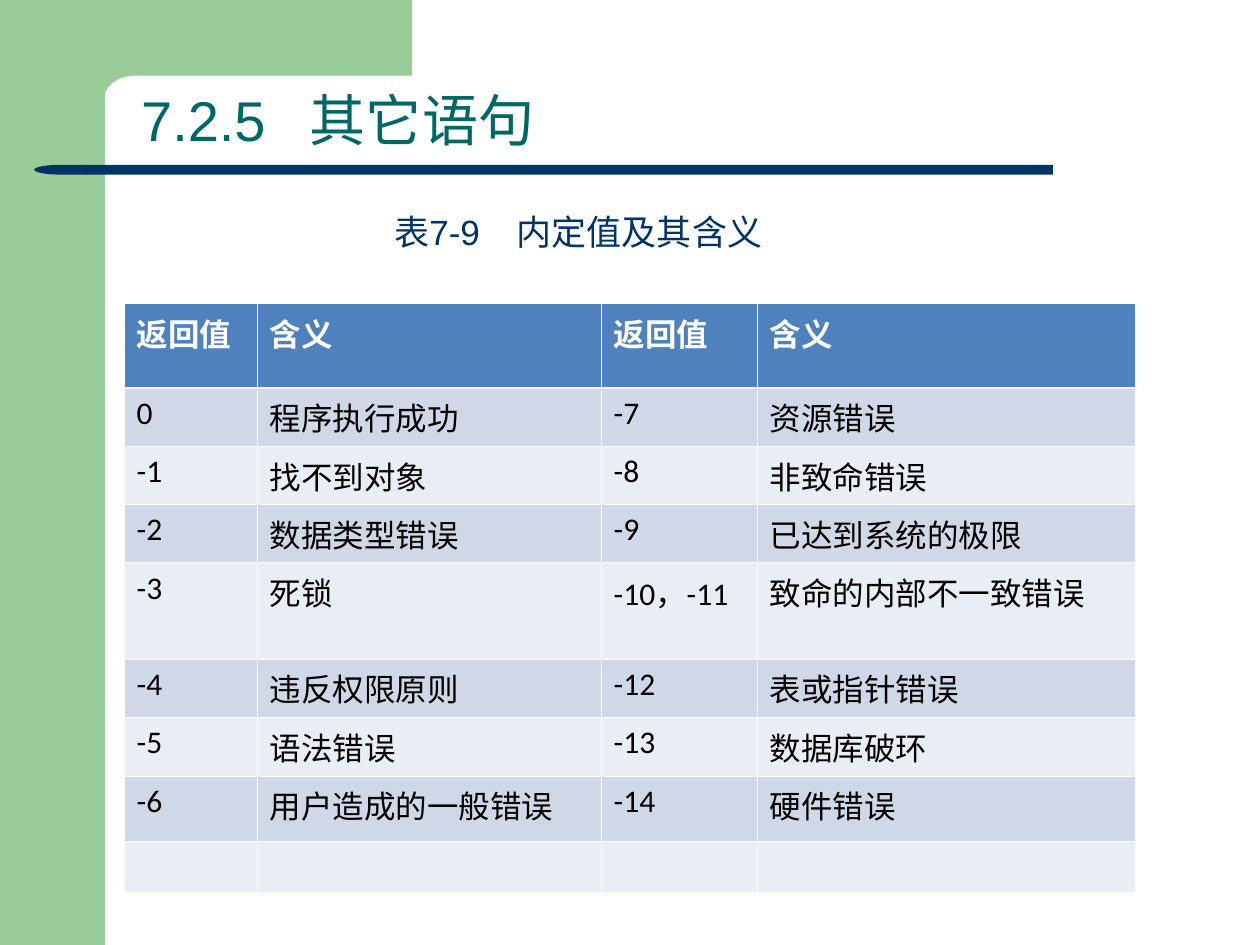
import pptx
import pptx.dml.color
import pptx.enum.shapes
import pptx.enum.text
import pptx.oxml
import pptx.oxml.ns
import pptx.util
import lxml.etree

Pt = pptx.util.Pt
SHAPE = pptx.enum.shapes.MSO_SHAPE
ANCHOR = pptx.enum.text.MSO_ANCHOR
qn = pptx.oxml.ns.qn

COLORS = {
    "green": "99CC99", "navy": "003366", "teal": "006666",
    "header": "4F81BD", "odd": "D0D8E8", "even": "E9EDF4",
    "white": "FFFFFF", "black": "000000",
}
HAIRLINE, HEADER_RULE = 0.45, 1.47

# Inner edge of the corner band, with its rounded corner
CORNER = [
    (235.4, 0), (235.4, 43.2), (77, 43.2), (71.3, 43.9), (67.7, 45.3),
    (64.1, 47.5), (61.7, 50.1), (59.8, 53.3), (58.8, 56.5), (58.3, 59.8),
    (58.3, 65.5), (36, 65.5), (36, 0),
]
COL_WIDTHS = [76, 196.6, 89.1, 216.5]
ROW_HEIGHTS = [48, 33.4, 33.2, 33.4, 55.1, 33.4, 33.4, 37.4, 28.8]
ROWS = [
    ("返回值", "含义", "返回值", "含义"),
    ("0", "程序执行成功", "-7", "资源错误"),
    ("-1", "找不到对象", "-8", "非致命错误"),
    ("-2", "数据类型错误", "-9", "已达到系统的极限"),
    ("-3", "死锁", "-10，-11", "致命的内部不一致错误"),
    ("-4", "违反权限原则", "-12", "表或指针错误"),
    ("-5", "语法错误", "-13", "数据库破环"),
    ("-6", "用户造成的一般错误", "-14", "硬件错误"),
    ("", "", "", ""),
]


def rgb(name):
    return pptx.dml.color.RGBColor.from_string(COLORS[name])


def write(tf, text, size=18, color="black", font="Calibri", bold=False,
          spacing=None, tab=None):
    """Fill a text frame with one paragraph; tab is a left stop in points."""
    p = tf.paragraphs[0]
    if spacing:
        p.line_spacing = spacing
    if tab:
        tabs = lxml.etree.SubElement(p._p.get_or_add_pPr(), qn("a:tabLst"))
        lxml.etree.SubElement(tabs, qn("a:tab"), pos=str(Pt(tab)), algn="l")
    r = p.add_run()
    r.text = text
    r.font.size, r.font.name, r.font.bold = Pt(size), font, bold
    r.font.color.rgb = rgb(color)


def set_borders(cell, top, bottom):
    """Give a cell white borders; top and bottom are widths in points."""
    tcPr = cell._tc.get_or_add_tcPr()
    sides = {"lnL": HAIRLINE, "lnR": HAIRLINE, "lnT": top, "lnB": bottom}
    for tag, width in sides.items():
        ln = lxml.etree.SubElement(tcPr, qn(f"a:{tag}"), w=str(Pt(width)))
        fill = lxml.etree.SubElement(ln, qn("a:solidFill"))
        lxml.etree.SubElement(fill, qn("a:srgbClr"), val=COLORS["white"])


class SlideBuilder:
    def __init__(self, slide):
        self.s = slide

    def paint(self, sp, color):
        sp.fill.solid()
        sp.fill.fore_color.rgb = rgb(color)
        sp.line.fill.background()
        sp.shadow.inherit = False
        return sp

    def shape(self, kind, x, y, w, h, color):
        sp = self.s.shapes.add_shape(kind, Pt(x), Pt(y), Pt(w), Pt(h))
        return self.paint(sp, color)

    def outline(self, points, color):
        start, *rest = [(Pt(x), Pt(y)) for x, y in points]
        builder = self.s.shapes.build_freeform(*start, scale=1.0)
        builder.add_line_segments(rest, close=True)
        return self.paint(builder.convert_to_shape(), color)

    def text(self, x, y, w, h, text, anchor=ANCHOR.TOP, **style):
        sp = self.s.shapes.add_textbox(Pt(x), Pt(y), Pt(w), Pt(h))
        tf = sp.text_frame
        tf.word_wrap = True
        tf.vertical_anchor = anchor
        write(tf, text, **style)

    def table(self, x, y, widths, heights, rows):
        frame = self.s.shapes.add_table(
            len(rows), len(widths), Pt(x), Pt(y),
            Pt(sum(widths)), Pt(sum(heights)))
        table = frame.table
        for col, width in zip(table.columns, widths):
            col.width = Pt(width)
        for i, (row, height) in enumerate(zip(rows, heights)):
            table.rows[i].height = Pt(height)
            head = i == 0
            fill = "header" if head else "odd" if i % 2 else "even"
            for j, text in enumerate(row):
                cell = table.cell(i, j)
                set_borders(cell, HEADER_RULE if i == 1 else HAIRLINE,
                            HEADER_RULE if head else HAIRLINE)
                cell.fill.solid()
                cell.fill.fore_color.rgb = rgb(fill)
                if text:
                    write(cell.text_frame, text, bold=head,
                          color="white" if head else "black")


def main():
    prs = pptx.Presentation()
    prs.slide_width, prs.slide_height = Pt(720), Pt(540)
    b = SlideBuilder(prs.slides.add_slide(prs.slide_layouts[6]))

    b.shape(SHAPE.RECTANGLE, 0, 0, 60, 540, "green")
    b.outline(CORNER, "green")
    bar = b.shape(SHAPE.ROUNDED_RECTANGLE, 49.6, 94.2, 552, 5.6, "navy")
    bar.adjustments[0] = 0
    tip = b.shape(SHAPE.FLOWCHART_DELAY, 19.6, 94.2, 30.6, 5.6, "navy")
    tip._element.spPr.xfrm.set("flipH", "1")

    b.text(73.6, 51.8, 589.6, 39.6, "7.2.5\t其它语句", anchor=ANCHOR.BOTTOM,
           size=32, color="teal", font="Arial", spacing=0.9, tab=96.5)
    b.text(218.2, 116.6, 226.8, 33.8, "表7-9\t内定值及其含义",
           size=20, color="navy", font="Arial", tab=70)
    b.table(70.9, 173.6, COL_WIDTHS, ROW_HEIGHTS, ROWS)

    prs.save("out.pptx")


if __name__ == "__main__":
    main()
